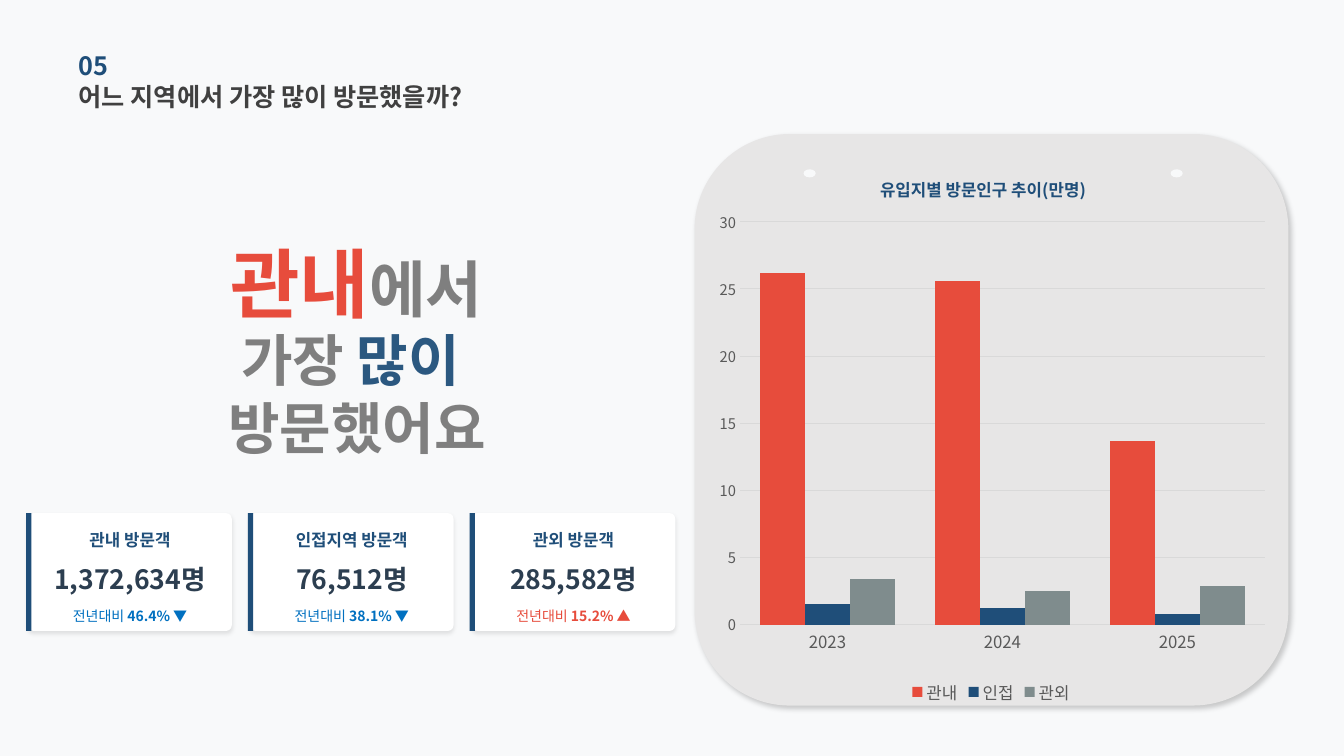
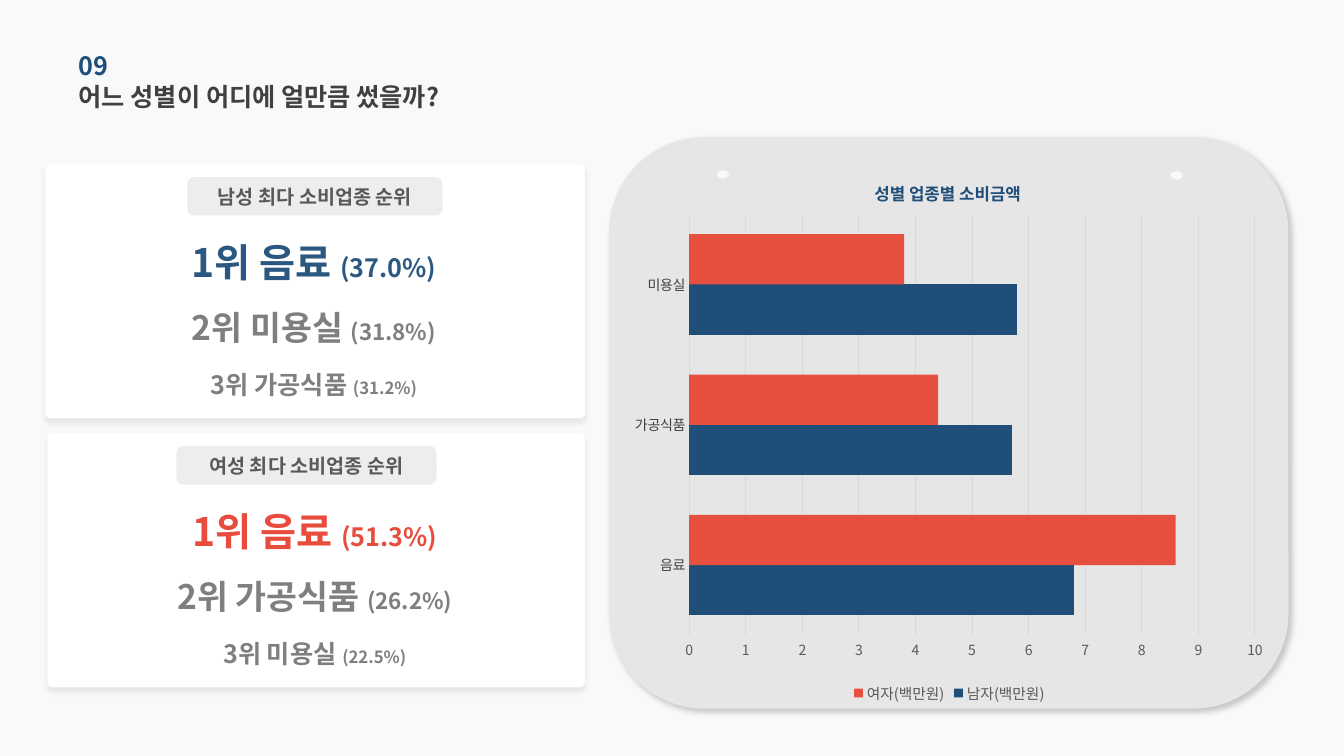
from lxml import etree
from pptx import Presentation
from pptx import util as u
from pptx.chart import data as chart_data
from pptx.dml.color import RGBColor
from pptx.enum import chart as ch, shapes, text
from pptx.oxml import ns, parse_xml

FONT = "Noto Sans CJK KR"
PAPER = RGBColor(0xF8, 0xF9, 0xFA)
WHITE = RGBColor(0xFF, 0xFF, 0xFF)
PANEL = RGBColor(0xE7, 0xE6, 0xE6)
PILL = RGBColor(0xD0, 0xCE, 0xCE)
RULE = RGBColor(0xD9, 0xD9, 0xD9)
NAVY = RGBColor(0x1F, 0x4E, 0x79)
BLUE = RGBColor(0x2B, 0x58, 0x80)
SKY = RGBColor(0x00, 0x70, 0xC0)
RED = RGBColor(0xE7, 0x4C, 0x3C)
SLATE = RGBColor(0x7F, 0x8C, 0x8D)
FIGURE = RGBColor(0x2C, 0x3E, 0x50)
DARK = RGBColor(0x40, 0x40, 0x40)
LABEL = RGBColor(0x59, 0x59, 0x59)
GREY = RGBColor(0x7F, 0x7F, 0x7F)

deck = Presentation()
deck.slide_width, deck.slide_height = u.Inches(13.33), u.Inches(7.5)
COL, ROW = deck.slide_width / 100, deck.slide_height / 100
GRID = (COL, ROW, COL, ROW)
master_fill = deck.slide_master.background.fill
master_fill.solid()
master_fill.fore_color.rgb = PAPER


def paint(slide, preset, box, fill, shadow=None, corner=None, opacity=100):
    area = [round(n * step) for n, step in zip(box, GRID)]
    shape = slide.shapes.add_shape(preset, *area)
    shape.shadow.inherit = False
    shape.fill.solid()
    shape.fill.fore_color.rgb = fill
    shape.line.fill.background()
    if corner is not None:
        shape.adjustments[0] = corner
    if opacity < 100:
        color = shape._element.spPr.find(".//" + ns.qn("a:srgbClr"))
        etree.SubElement(color, ns.qn("a:alpha"), val=str(opacity * 1000))
    if shadow:
        alpha, blur, distance, angle = shadow
        effects = shape._element.spPr.find(ns.qn("a:effectLst"))
        outer = etree.SubElement(
            effects, ns.qn("a:outerShdw"), blurRad=str(u.Pt(blur)),
            dist=str(u.Pt(distance)), dir=str(angle * 60000), rotWithShape="0")
        color = etree.SubElement(outer, ns.qn("a:srgbClr"), val="000000")
        etree.SubElement(color, ns.qn("a:alpha"), val=str(alpha * 1000))
    return shape


def write(shape, box, lines, align=text.PP_ALIGN.CENTER, spacing=None):
    shape.left, shape.top, shape.width, shape.height = [
        round(n * step) for n, step in zip(box, GRID)]
    frame = shape.text_frame
    frame.word_wrap = True
    frame.auto_size = text.MSO_AUTO_SIZE.NONE
    frame.vertical_anchor = text.MSO_ANCHOR.MIDDLE
    frame.margin_left = frame.margin_right = frame.margin_top = frame.margin_bottom = 0
    for i, runs in enumerate(lines):
        paragraph = frame.add_paragraph() if i else frame.paragraphs[0]
        paragraph.alignment = align
        if spacing:
            paragraph.line_spacing = u.Pt(spacing)
        for words, size, color, bold in runs:
            run = paragraph.add_run()
            run.text = words
            run.font.size, run.font.bold = u.Pt(size), bold
            run.font.color.rgb = color
            run.font.name = FONT
            etree.SubElement(run._r.rPr, ns.qn("a:ea"), typeface=FONT)


ROUND = shapes.MSO_SHAPE.ROUNDED_RECTANGLE
TOPICS = [
    dict(number="05", question="어느 지역에서 가장 많이 방문했을까?",
         panel=(51.68, 17.73, 44.18, 75.6), dots=((59.79, 22.4), (87.1, 22.4)),
         kind=ch.XL_CHART_TYPE.COLUMN_CLUSTERED, area=(52.51, 19.73, 42.46, 74),
         caption="유입지별 방문인구 추이(만명)", caption_at=(0.3, 0.04),
         plot=(0.06, 0.13, 0.92, 0.72), gap=90, top=30, step=5,
         sizes=(12, 10.5, 12), category_color=LABEL,
         categories=("2023", "2024", "2025"),
         series=(("관내", (26.2, 25.6, 13.7), RED, 100),
                 ("인접", (1.5, 1.2, 0.8), NAVY, 100),
                 ("관외", (3.4, 2.5, 2.9), SLATE, 100))),
    dict(number="09", question="어느 성별이 어디에 얼만큼 썼을까?",
         panel=(45.31, 18.13, 50.56, 75.6), dots=((53.34, 22.53), (87.1, 22.67)),
         kind=ch.XL_CHART_TYPE.BAR_CLUSTERED, area=(46.44, 20.27, 48.39, 73.33),
         caption="성별 업종별 소비금액", caption_at=(0.38, 0.04),
         plot=(0.1, 0.11, 0.87, 0.76), gap=80, top=10, step=1,
         sizes=(10, 10, 10.5), category_color=DARK,
         categories=("음료", "가공식품", "미용실"),
         series=(("남자(백만원)", (6.8, 5.7, 5.8), NAVY, 100),
                 ("여자(백만원)", (8.6, 4.4, 3.8), RED, 98))),
]

pages = []
for topic in TOPICS:
    page = deck.slides.add_slide(deck.slide_layouts[5])
    pages.append(page)
    write(page.shapes.title, (5.85, 10, 39.6, 5.47),
          [[(topic["question"], 18, DARK, True)]], text.PP_ALIGN.LEFT)
    write(page.shapes.add_textbox(0, 0, 0, 0), (5.85, 5.87, 39.6, 5.47),
          [[(topic["number"], 18, NAVY, True)]], text.PP_ALIGN.LEFT)
    paint(page, ROUND, topic["panel"], PANEL, (20, 4, 3, 45))
    for dot in topic["dots"]:
        paint(page, shapes.MSO_SHAPE.OVAL, (*dot, 0.9, 1.07), PAPER)

    numbers = chart_data.CategoryChartData()
    numbers.categories = topic["categories"]
    for name, values, _, _ in topic["series"]:
        numbers.add_series(name, values)
    area = [round(n * step) for n, step in zip(topic["area"], GRID)]
    chart = page.shapes.add_chart(topic["kind"], *area, numbers).chart
    chart.font.name, chart.font.size = FONT, u.Pt(10)
    plot = chart.plots[0]
    plot.gap_width, plot.overlap, plot.vary_by_categories = topic["gap"], 0, False
    for series, (_, _, color, opacity) in zip(plot.series, topic["series"]):
        series.format.fill.solid()
        series.format.fill.fore_color.rgb = color
        series.invert_if_negative = False
        if opacity < 100:
            tint = series._element.find(".//" + ns.qn("a:srgbClr"))
            etree.SubElement(tint, ns.qn("a:alpha"), val=str(opacity * 1000))

    across, upward = chart.category_axis, chart.value_axis
    across.format.line.color.rgb = RULE
    across.format.line.width = u.Pt(0.75)
    upward.format.line.fill.background()
    upward.minimum_scale, upward.maximum_scale = 0, topic["top"]
    upward.major_unit = topic["step"]
    upward.has_major_gridlines = True
    upward.major_gridlines.format.line.color.rgb = RULE
    upward.major_gridlines.format.line.width = u.Pt(0.75)
    upward.tick_labels.number_format = "0"
    upward.tick_labels.number_format_is_linked = False
    for axis in (across, upward):
        axis.major_tick_mark = axis.minor_tick_mark = ch.XL_TICK_MARK.NONE
    chart.has_legend = True
    chart.legend.position = ch.XL_LEGEND_POSITION.BOTTOM
    chart.legend.include_in_layout = False
    chart.has_title = True
    caption = chart.chart_title.text_frame
    caption.text = topic["caption"]
    caption_font = caption.paragraphs[0].runs[0].font
    caption_font.bold = True
    fonts = (across.tick_labels.font, upward.tick_labels.font, chart.legend.font, caption_font)
    colors = (topic["category_color"], LABEL, LABEL, NAVY)
    for font, size, color in zip(fonts, (*topic["sizes"], 12), colors):
        font.size, font.color.rgb, font.name = u.Pt(size), color, FONT
    for properties in chart._chartSpace.iter(ns.qn("a:defRPr"), ns.qn("a:rPr")):
        latin = properties.find(ns.qn("a:latin"))
        if latin is not None:
            east = etree.Element(ns.qn("a:ea"), typeface=FONT)
            latin.addnext(east)

    title_part = chart.chart_title._element
    plot_part = chart._chartSpace.chart.plotArea
    for part, keys, shares in ((title_part, "xy", topic["caption_at"]),
                               (plot_part, "xywh", topic["plot"])):
        for old in part.findall(ns.qn("c:layout")):
            part.remove(old)
        target = '<c:layoutTarget val="inner"/>' if part is plot_part else ""
        modes = "".join(f'<c:{k}Mode val="edge"/>' for k in "xy")
        places = "".join(f'<c:{k} val="{v}"/>' for k, v in zip(keys, shares))
        layout = parse_xml(f'<c:layout {ns.nsdecls("c")}><c:manualLayout>'
                           f'{target}{modes}{places}</c:manualLayout></c:layout>')
        part.insert(1 if part is title_part else 0, layout)

visits, spending = pages

write(visits.shapes.add_textbox(0, 0, 0, 0), (10.43, 34.13, 32.18, 6.4),
      [[("관내", 54, RED, True), ("에서", 44, GREY, True)]])
write(visits.shapes.add_textbox(0, 0, 0, 0), (5.85, 46.4, 41.41, 11.2),
      [[("가장", 40, GREY, True), (" 많이 ", 40, BLUE, True)],
       [("방문했어요", 40, GREY, True)]], spacing=48)

VISITORS = [
    ("관내 방문객", "1,372,634명", "46.4% ▼", SKY),
    ("인접지역 방문객", "76,512명", "38.1% ▼", SKY),
    ("관외 방문객", "285,582명", "15.2% ▲", RED),
]
for i, (origin, count, change, trend) in enumerate(VISITORS):
    left, width = 2.1 + 16.5 * i, 15.15
    paint(visits, ROUND, (left, 67.87, width, 15.6), WHITE, (10, 3, 2, 90), 0.05)
    paint(visits, shapes.MSO_SHAPE.RECTANGLE, (left - 0.15, 67.87, 0.38, 15.6), NAVY)
    for top, height, runs in (
            (70, 2.93, [(origin, 12, NAVY, True)]),
            (74.27, 4.53, [(count, 19, FIGURE, True)]),
            (80.13, 2.67, [("전년대비 ", 10, trend, False), (change, 10, trend, True)])):
        write(visits.shapes.add_textbox(0, 0, 0, 0), (left, top, width, height), [runs])

RANKINGS = [
    ("남성 최다 소비업종 순위", BLUE, (3.38, 21.73, 40.14, 33.6), (13.95, 18.98),
     (("1위 음료 ", "(37.0%)"), ("2위 미용실 ", "(31.8%)"), ("3위 가공식품 ", "(31.2%)"))),
    ("여성 최다 소비업종 순위", RED, (3.53, 57.33, 39.98, 33.6), (13.13, 19.35),
     (("1위 음료 ", "(51.3%)"), ("2위 가공식품 ", "(26.2%)"), ("3위 미용실 ", "(22.5%)"))),
]
RANK_STYLES = ((9.73, 28, 18), (18.27, 24, 16), (25.87, 18, 12))
for heading, accent, card, (pill_left, pill_width), ranks in RANKINGS:
    left, top, width, _ = card
    paint(spending, ROUND, card, WHITE, (8, 4, 3, 90), 0.02)
    pill_box = (pill_left, top + 1.7, pill_width, 5.07)
    pill = paint(spending, ROUND, pill_box, PILL, opacity=36)
    write(pill, pill_box, [[(heading, 14, LABEL, True)]])
    for i, ((item, share), (drop, size, small)) in enumerate(zip(ranks, RANK_STYLES)):
        color = GREY if i else accent
        write(spending.shapes.add_textbox(0, 0, 0, 0), (left - 0.1, top + drop, width, 6.4),
              [[(item, size, color, True), (share, small, color, True)]])

deck.save("out.pptx")
